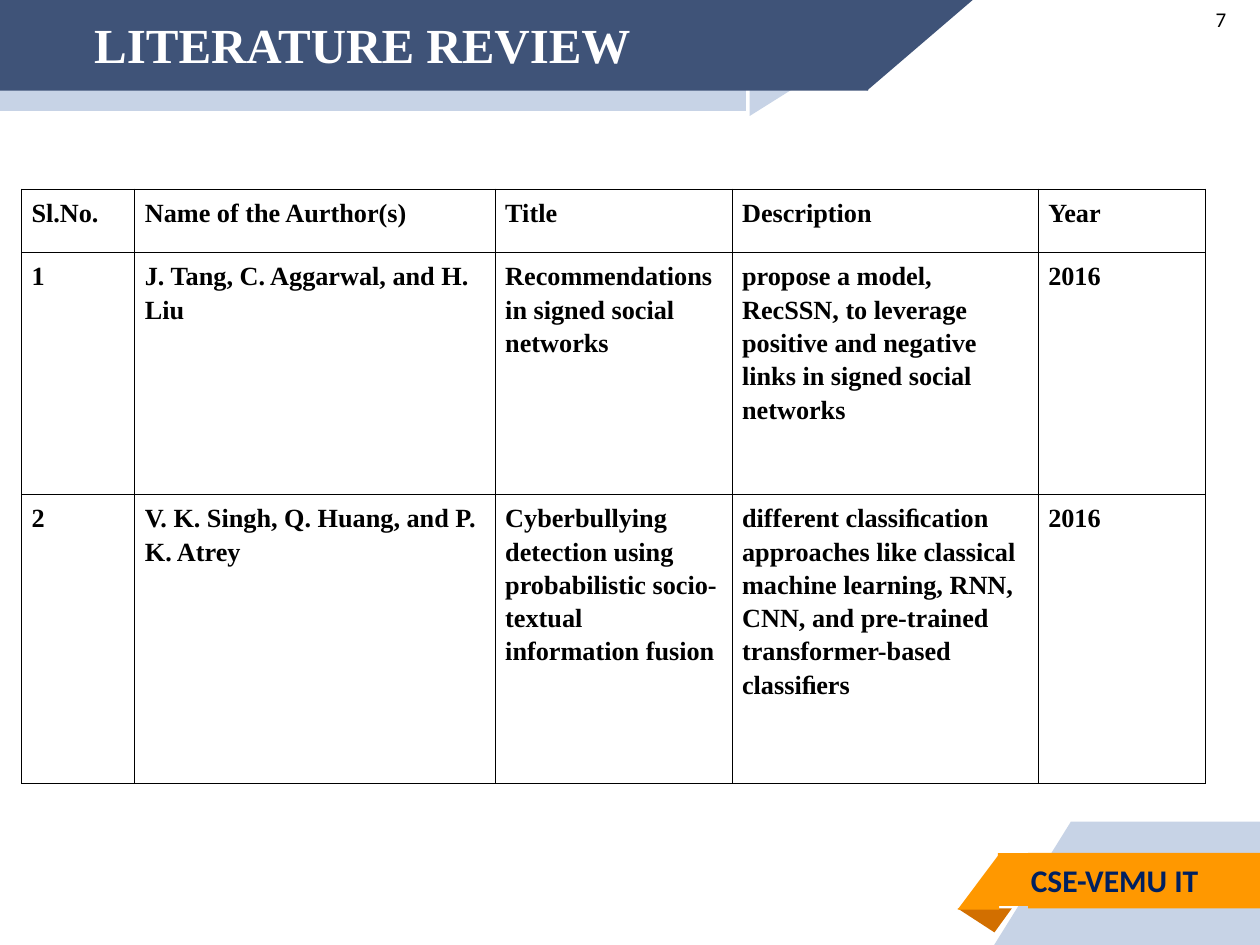
from lxml import etree
from pptx import Presentation
from pptx.dml.color import RGBColor
from pptx.enum.shapes import MSO_SHAPE
from pptx.enum.text import MSO_ANCHOR, PP_ALIGN
from pptx.oxml.ns import qn
from pptx.util import Inches, Pt

RECTANGLE = MSO_SHAPE.RECTANGLE
RIGHT_TRIANGLE = MSO_SHAPE.RIGHT_TRIANGLE
TRIANGLE = MSO_SHAPE.ISOSCELES_TRIANGLE
MIDDLE = MSO_ANCHOR.MIDDLE
LEFT, CENTER, RIGHT = PP_ALIGN.LEFT, PP_ALIGN.CENTER, PP_ALIGN.RIGHT

PALE, NAVY, ORANGE, BROWN = "C7D3E6", "3F5378", "FF9800", "D26F00"
BLACK, WHITE, DARK_BLUE = "000000", "FFFFFF", "002060"
SERIF, SANS = "Times New Roman", "Calibri"

COLUMN_WIDTHS = [0.9, 2.86, 1.88, 2.43, 1.33]
ROW_HEIGHTS = [0.5, 1.92, 2.3]
REVIEW = [
    ["Sl.No.", "Name of the Aurthor(s)", "Title", "Description", "Year"],
    ["1", "J. Tang, C. Aggarwal, and H. Liu",
     "Recommendations in signed social networks",
     "propose a model, RecSSN, to leverage positive and negative links "
     "in signed social networks", "2016"],
    ["2", "V. K. Singh, Q. Huang, and P. K. Atrey",
     "Cyberbullying detection using probabilistic socio-textual "
     "information fusion",
     "different classiﬁcation approaches like classical machine learning, "
     "RNN, CNN, and pre-trained transformer-based classiﬁers", "2016"],
]


def color(hex_string):
    return RGBColor.from_string(hex_string)


def add_block(page, kind, bounds, fill, rotation=0, flip=False):
    shape = page.shapes.add_shape(kind, *map(Inches, bounds))
    shape.shadow.inherit = False
    shape.fill.solid()
    shape.fill.fore_color.rgb = color(fill)
    shape.line.fill.background()
    shape.rotation = rotation
    if flip:
        shape._element.spPr.find(qn("a:xfrm")).set("flipH", "1")
    return shape


def format_runs(para, font, size, hex_string, bold):
    for span in para.runs:
        span.font.name = font
        span.font.size = Pt(size)
        span.font.bold = bold
        span.font.color.rgb = color(hex_string)


def set_text(box, text, font, size, hex_string, bold=False, align=LEFT):
    frame = box.text_frame
    frame.text = text
    frame.word_wrap = True
    frame.vertical_anchor = MIDDLE
    frame.margin_left = frame.margin_right = Inches(0.1)
    frame.margin_top = frame.margin_bottom = Inches(0.1)
    para = frame.paragraphs[0]
    para.alignment = align
    format_runs(para, font, size, hex_string, bold)


def add_text(page, bounds, *args, **options):
    box = page.shapes.add_textbox(*map(Inches, bounds))
    set_text(box, *args, **options)


def set_borders(cell, hex_string, width):
    properties = cell._tc.get_or_add_tcPr()
    for side in ("a:lnL", "a:lnR", "a:lnT", "a:lnB"):
        line = etree.SubElement(properties, qn(side), w=str(Pt(width)))
        fill = etree.SubElement(line, qn("a:solidFill"))
        etree.SubElement(fill, qn("a:srgbClr"), val=hex_string)


def fill_cell(cell, text):
    set_borders(cell, BLACK, 0.45)
    cell.fill.background()
    cell.margin_left = cell.margin_right = Inches(0.08)
    cell.margin_top = cell.margin_bottom = Inches(0.05)
    cell.text_frame.text = text
    para = cell.text_frame.paragraphs[0]
    para.line_spacing = 1.15
    format_runs(para, SERIF, 15, BLACK, True)


def add_review_table(page):
    table = page.shapes.add_table(
        len(ROW_HEIGHTS), len(COLUMN_WIDTHS), Inches(0.17), Inches(1.5),
        Inches(sum(COLUMN_WIDTHS)), Inches(sum(ROW_HEIGHTS))).table
    table.first_row = table.horz_banding = False
    for column, width in zip(table.columns, COLUMN_WIDTHS):
        column.width = Inches(width)
    for row, height, texts in zip(table.rows, ROW_HEIGHTS, REVIEW):
        row.height = Inches(height)
        for cell, text in zip(row.cells, texts):
            fill_cell(cell, text)


def add_header(page):
    # Pale band behind the navy band, each ending in a slanted edge
    add_block(page, RECTANGLE, (-0.01, -0.03, 5.93, 0.91), PALE)
    add_block(page, RIGHT_TRIANGLE, (5.95, 0.01, 1.45, 0.91), PALE, 180, True)
    add_block(page, RECTANGLE, (0, 0, 6.89, 0.72), NAVY)
    add_block(page, RIGHT_TRIANGLE, (6.88, 0, 0.84, 0.72), NAVY, 180, True)
    add_text(page, (0, -0.21, 5.75, 1.12), "LITERATURE REVIEW",
             SERIF, 28, WHITE, bold=True, align=CENTER)
    # Page number
    add_text(page, (9.55, 0, 0.45, 0.31), "7", SANS, 12, BLACK)


def add_footer(page):
    # Folded ribbon over a pale corner
    fold = add_block(page, TRIANGLE, (7.6, 7.21, 0.43, 0.19), BROWN, 180)
    fold.adjustments[0] = 0.32
    add_block(page, RECTANGLE, (8.5, 6.52, 1.5, 0.98), PALE)
    add_block(page, RIGHT_TRIANGLE, (7.89, 6.52, 0.61, 0.98), PALE, flip=True)
    add_block(page, RECTANGLE, (8.16, 6.77, 1.84, 0.44), ORANGE)
    add_block(page, RIGHT_TRIANGLE, (7.6, 6.78, 0.33, 0.44), ORANGE, flip=True)
    label = add_block(page, RECTANGLE, (7.92, 6.77, 1.69, 0.42), ORANGE)
    set_text(label, "CSE-VEMU IT", SANS, 18, DARK_BLUE, bold=True, align=RIGHT)


def main():
    deck = Presentation()
    deck.slide_width, deck.slide_height = Inches(10), Inches(7.5)
    page = deck.slides.add_slide(deck.slide_layouts[6])
    add_header(page)
    add_footer(page)
    add_review_table(page)
    deck.save("out.pptx")


if __name__ == "__main__":
    main()
